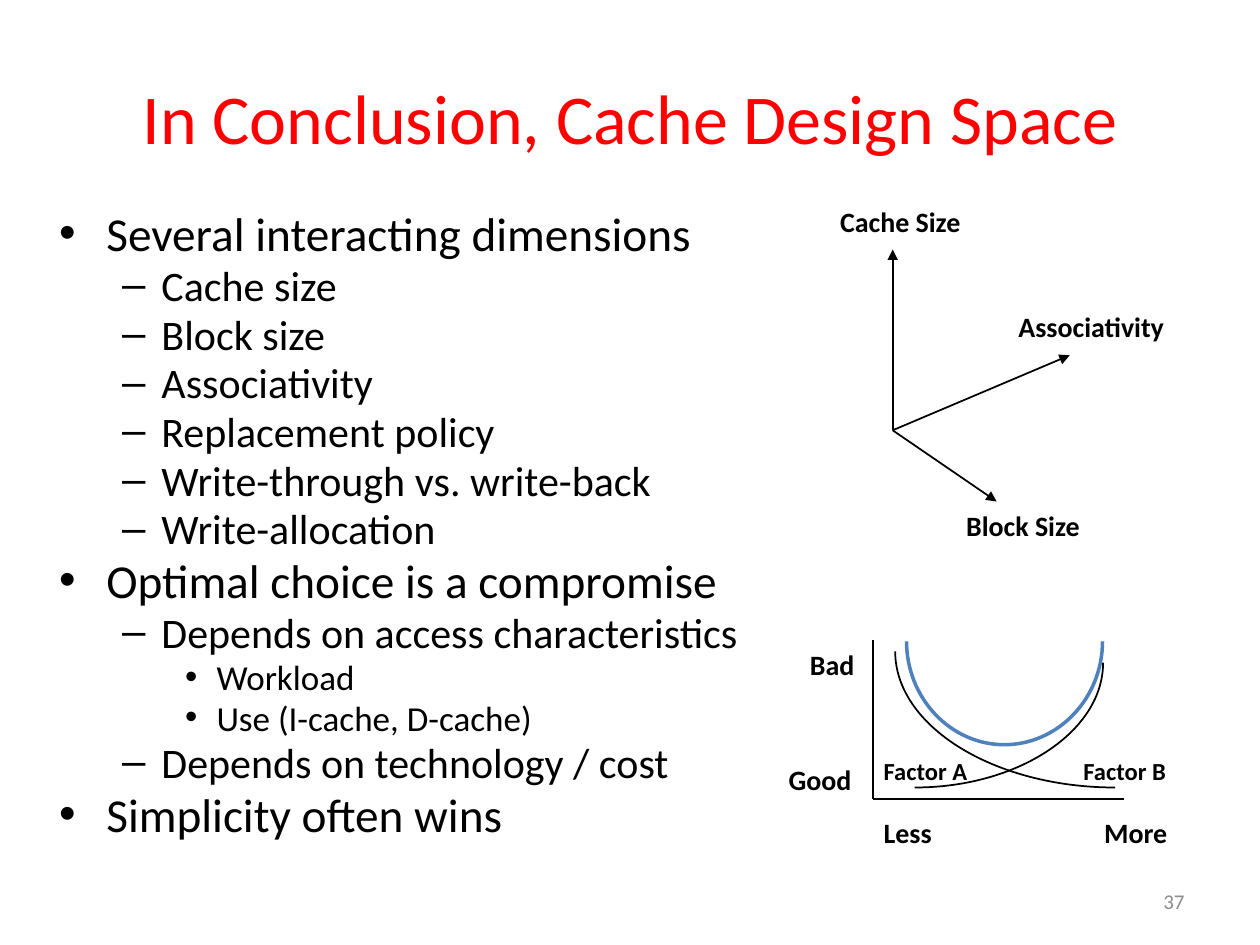
"""Build the cache design space slide on a grid of 100 columns by 75 rows."""
import pptx
import pptx.dml.color
import pptx.enum.shapes
import pptx.enum.text
import pptx.oxml
import pptx.oxml.ns
import pptx.util

RGBColor = pptx.dml.color.RGBColor
Pt = pptx.util.Pt
ALIGN = pptx.enum.text.PP_ALIGN
ANCHOR = pptx.enum.text.MSO_ANCHOR

BLACK = RGBColor(0x00, 0x00, 0x00)
RED = RGBColor(0xFF, 0x00, 0x00)
BLUE = RGBColor(0x4F, 0x81, 0xBD)
GREY = RGBColor(0x8C, 0x8C, 0x8C)
FONT = "Calibri"
COLUMNS, ROWS = 100, 75
CELL = pptx.util.Inches(0.1)
ARC_PULL = 0.55

TITLE = "In Conclusion, Cache Design Space"
PAGE = "37"
OUTLINE = [
    (0, "Several interacting dimensions"),
    (1, "Cache size"),
    (1, "Block size"),
    (1, "Associativity"),
    (1, "Replacement policy"),
    (1, "Write-through vs. write-back"),
    (1, "Write-allocation"),
    (0, "Optimal choice is a compromise"),
    (1, "Depends on access characteristics"),
    (2, "Workload"),
    (2, "Use (I-cache, D-cache)"),
    (1, "Depends on technology / cost"),
    (0, "Simplicity often wins"),
]
LEVELS = [("•", 27, 3.75, 3.75), ("–", 24, 8.13, 3.13), ("•", 20, 12.5, 2.5)]

LABELS = [
    ("Cache Size", 65.7, 15.75, 13.7, 16),
    ("Associativity", 79.85, 24.1, 15.7, 16),
    ("Block Size", 75.7, 39.9, 13.1, 16),
    ("Bad", 63.3, 50.9, 6.2, 16),
    ("Good", 61.6, 60.05, 7.8, 16),
    ("Less", 69.15, 64.2, 7, 16),
    ("More", 86.65, 64.2, 7.3, 16),
    ("Factor A", 69.15, 59.5, 9.8, 14),
    ("Factor B", 85, 59.5, 9.8, 14),
]
ORIGIN = (70.85, 34.15)
DIMENSION_TIPS = [(70.85, 19.8), (84.9, 28.2), (79.1, 39.8)]
CORNER = (69.3, 63.4)
AXIS_ENDS = [(69.3, 50.8), (89.2, 63.4)]
# each quarter arc leaves its low end level and reaches its high end upright
FACTOR_ARCS = [((88.5, 62.5), (71.05, 51.7)), ((72.6, 62.5), (87.55, 52.6))]
TOTAL_ARCS = [((79.7, 59.1), (71.95, 50.9)), ((79.7, 59.1), (87.5, 50.9))]


def grid(*cells):
    return [round(c * CELL) for c in cells]


def element(tag, **attributes):
    node = pptx.oxml.parse_xml(f'<a:{tag} {pptx.oxml.ns.nsdecls("a")}/>')
    for key, value in attributes.items():
        node.set(key, value)
    return node


def add_run(p, text, size, color, bold=False):
    r = p.add_run()
    r.text = text
    r.font.name, r.font.size, r.font.bold = FONT, Pt(size), bold
    r.font.color.rgb = color


def add_text(s, box, wrap=True):
    tf = s.shapes.add_textbox(*grid(*box)).text_frame
    tf.word_wrap = wrap
    return tf


def add_outline(s):
    tf = add_text(s, (3.7, 16.6, 59.2, 57.5))
    for i, (level, text) in enumerate(OUTLINE):
        bullet, size, margin, hang = LEVELS[level]
        p = tf.paragraphs[0] if i == 0 else tf.add_paragraph()
        p.level = level
        p.line_spacing = 0.8
        p.space_before = Pt(0.2 * size if i else 0)
        pPr = p._p.get_or_add_pPr()
        left, indent = grid(margin, -hang)
        pPr.set("marL", str(left))
        pPr.set("indent", str(indent))
        pPr.append(element("buFont", typeface="Arial"))
        pPr.append(element("buChar", char=bullet))
        add_run(p, text, size, BLACK)


def add_line(s, start, end, arrow=False):
    line = s.shapes.add_connector(
        pptx.enum.shapes.MSO_CONNECTOR.STRAIGHT, *grid(*start, *end))
    line.line.color.rgb, line.line.width = BLACK, Pt(1)
    if arrow:
        line.line._get_or_add_ln().append(element("tailEnd", type="triangle"))
    line._element.spPr.append(element("effectLst"))


def add_arc(shapes, low, high, color, width):
    (x0, y0), (x1, y1) = low, high
    pulls = [(x0 + (x1 - x0) * ARC_PULL, y0), (x1, y1 + (y0 - y1) * ARC_PULL)]
    builder = shapes.build_freeform(*grid(*low))
    builder.add_line_segments([grid(*point) for point in pulls + [high]], close=False)
    arc = builder.convert_to_shape()
    segments = list(arc._element.iter(pptx.oxml.ns.qn("a:lnTo")))
    bezier = element("cubicBezTo")
    segments[0].addprevious(bezier)
    for segment in segments:
        bezier.append(segment[0])
        segment.getparent().remove(segment)
    arc.shadow.inherit = False
    arc.fill.background()
    arc.line.color.rgb, arc.line.width = color, Pt(width)


def main():
    prs = pptx.Presentation()
    prs.slide_width, prs.slide_height = grid(COLUMNS, ROWS)
    s = prs.slides.add_slide(prs.slide_layouts[5])

    title = s.shapes.title
    title.left, title.top, title.width, title.height = grid(5, 3, 90, 12.5)
    tf = title.text_frame
    tf.word_wrap, tf.vertical_anchor = False, ANCHOR.MIDDLE
    tf.paragraphs[0].alignment = ALIGN.CENTER
    add_run(tf.paragraphs[0], TITLE, 40, RED)

    add_outline(s)
    for tip in DIMENSION_TIPS:
        add_line(s, ORIGIN, tip, arrow=True)
    for end in AXIS_ENDS:
        add_line(s, CORNER, end)
    for low, high in FACTOR_ARCS:
        add_arc(s.shapes, low, high, BLACK, 1)
    total = s.shapes.add_group_shape()
    for low, high in TOTAL_ARCS:
        add_arc(total.shapes, low, high, BLUE, 2)
    for text, left, top, width, size in LABELS:
        tf = add_text(s, (left, top, width, 3.6 if size == 16 else 3.3), wrap=False)
        add_run(tf.paragraphs[0], text, size, BLACK, bold=True)

    tf = add_text(s, (71.7, 69.5, 23.3, 4))
    tf.vertical_anchor = ANCHOR.MIDDLE
    tf.paragraphs[0].alignment = ALIGN.RIGHT
    add_run(tf.paragraphs[0], PAGE, 12, GREY)

    prs.save("out.pptx")


if __name__ == "__main__":
    main()
